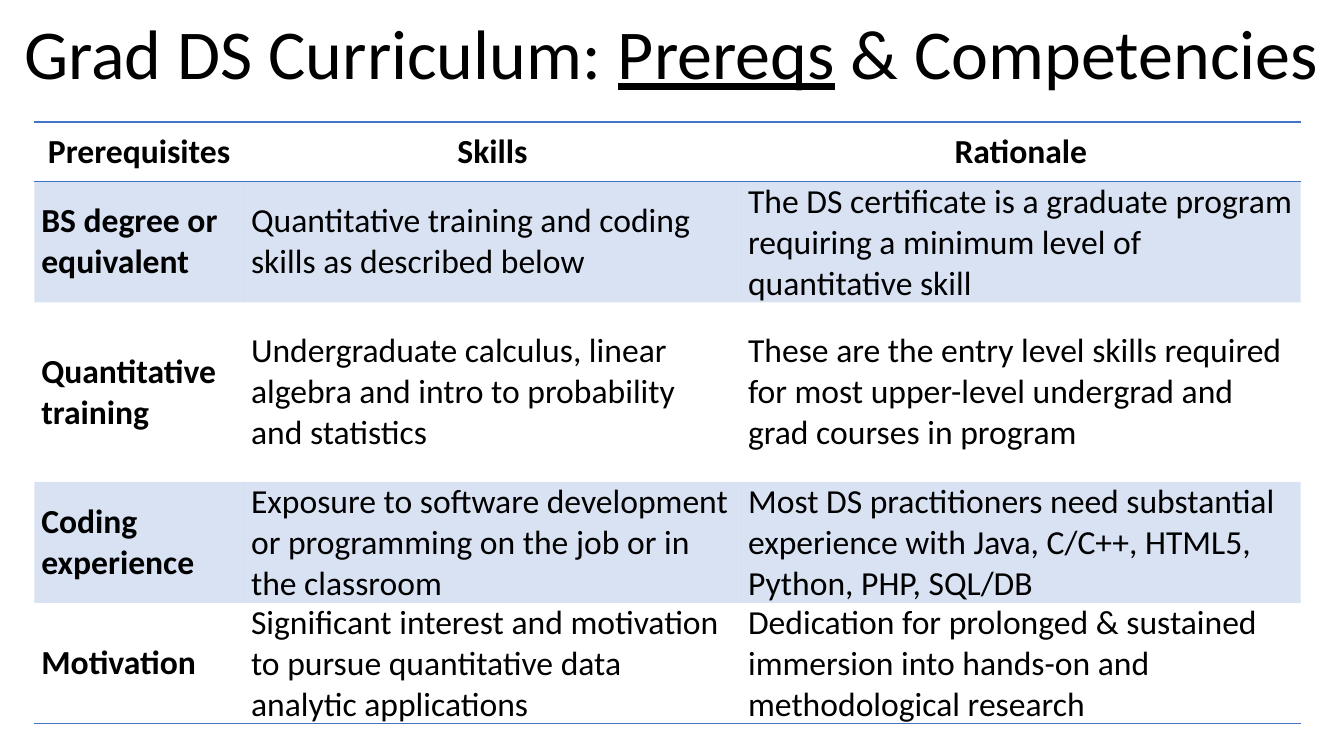
import pptx
import pptx.util
import pptx.dml.color
import pptx.enum.text
import pptx.oxml
import pptx.oxml.ns
from dataclasses import dataclass

Inches = pptx.util.Inches
Pt = pptx.util.Pt
Align = pptx.enum.text.PP_ALIGN
Anchor = pptx.enum.text.MSO_ANCHOR
PLAIN_STYLE = "{2D5ABB26-0587-4C30-8999-92F81FD0307C}"


@dataclass(frozen=True)
class Theme:
    font: str = "Calibri"
    ink: str = "000000"
    accent: str = "4472C4"
    band_alpha: int = 20
    title_size: int = 50
    body_size: int = 24


TITLE = [("Grad DS Curriculum: ", False), ("Prereqs", True),
         (" & Competencies", False)]
WIDTHS = [2.08, 4.93, 5.55]
HEIGHTS = [0.59, 1.19, 1.78, 1.19, 1.19]
ROWS = [
    ["Prerequisites", "Skills", "Rationale"],
    ["BS degree or equivalent",
     "Quantitative training and coding skills as described below",
     "The DS certificate is a graduate program requiring a minimum level "
     "of quantitative skill"],
    ["Quantitative training",
     "Undergraduate calculus, linear algebra and intro to probability "
     "and statistics",
     "These are the entry level skills required for most upper-level "
     "undergrad and grad courses in program"],
    ["Coding\nexperience",
     "Exposure to software development or programming on the job or in "
     "the classroom",
     "Most DS practitioners need substantial experience with Java, C/C++, "
     "HTML5, Python, PHP, SQL/DB"],
    ["Motivation",
     "Significant interest and motivation to pursue quantitative data "
     "analytic applications",
     "Dedication for prolonged & sustained immersion into hands-on and "
     "methodological research"],
]


class Deck:
    def __init__(self, theme):
        self.theme = theme
        self.show = pptx.Presentation()
        self.show.slide_width = Inches(13.33)
        self.show.slide_height = Inches(7.5)
        self.slide = self.show.slides.add_slide(self.show.slide_layouts[6])

    def run(self, para, text, size, bold=False, under=False):
        run = para.add_run()
        run.text = text
        font = run.font
        font.name, font.size = self.theme.font, Pt(size)
        font.bold, font.underline = bold, under
        font.color.rgb = pptx.dml.color.RGBColor.from_string(self.theme.ink)

    def title(self, parts, left, top, width, height):
        box = self.slide.shapes.add_textbox(
            Inches(left), Inches(top), Inches(width), Inches(height))
        frame = box.text_frame
        frame.word_wrap = True
        frame.vertical_anchor = Anchor.MIDDLE
        para = frame.paragraphs[0]
        para.alignment = Align.CENTER
        para.line_spacing = 0.9
        for text, under in parts:
            self.run(para, text, self.theme.title_size, under=under)

    def table(self, rows, left, top, widths, heights):
        frame = self.slide.shapes.add_table(
            len(rows), len(widths), Inches(left), Inches(top),
            Inches(sum(widths)), Inches(sum(heights)))
        table = frame.table
        table._tbl.tblPr.find(
            pptx.oxml.ns.qn("a:tableStyleId")).text = PLAIN_STYLE
        table.horz_banding = False
        for col, width in zip(table.columns, widths):
            col.width = Inches(width)
        for row, height in zip(table.rows, heights):
            row.height = Inches(height)
        last = len(rows) - 1
        for r, texts in enumerate(rows):
            edges = {0: ["lnT", "lnB"], last: ["lnB"]}.get(r, [])
            for c, text in enumerate(texts):
                cell = table.cell(r, c)
                self.label(cell, text, bold=r == 0 or c == 0,
                           align=Align.LEFT if r else Align.CENTER)
                self.shade(cell, band=r % 2 == 1)
                self.rule(cell, edges)

    def label(self, cell, text, bold, align):
        cell.vertical_anchor = Anchor.MIDDLE
        cell.margin_left = cell.margin_right = Inches(0.07)
        cell.margin_top = cell.margin_bottom = 0
        frame = cell.text_frame
        for i, line in enumerate(text.split("\n")):
            para = frame.add_paragraph() if i else frame.paragraphs[0]
            para.alignment = align
            self.run(para, line, self.theme.body_size, bold=bold)

    def shade(self, cell, band):
        if not band:
            cell.fill.background()
            return
        cell.fill.solid()
        cell.fill.fore_color.rgb = pptx.dml.color.RGBColor.from_string(
            self.theme.accent)
        tint = cell._tc.tcPr.find(".//" + pptx.oxml.ns.qn("a:srgbClr"))
        alpha = pptx.oxml.parse_xml(
            f'<a:alpha {pptx.oxml.ns.nsdecls("a")} '
            f'val="{self.theme.band_alpha * 1000}"/>')
        tint.append(alpha)

    def rule(self, cell, edges):
        """Draw the named cell edges; they must come before the fill."""
        for i, edge in enumerate(edges):
            line = pptx.oxml.parse_xml(
                f'<a:{edge} {pptx.oxml.ns.nsdecls("a")} w="{Pt(1)}">'
                f'<a:solidFill><a:srgbClr val="{self.theme.accent}"/>'
                f'</a:solidFill></a:{edge}>')
            cell._tc.tcPr.insert(i, line)


def main():
    deck = Deck(Theme())
    deck.title(TITLE, -0.02, 0.09, 13.36, 0.95)
    deck.table(ROWS, 0.34, 1.21, WIDTHS, HEIGHTS)
    deck.show.save("out.pptx")


if __name__ == "__main__":
    main()
